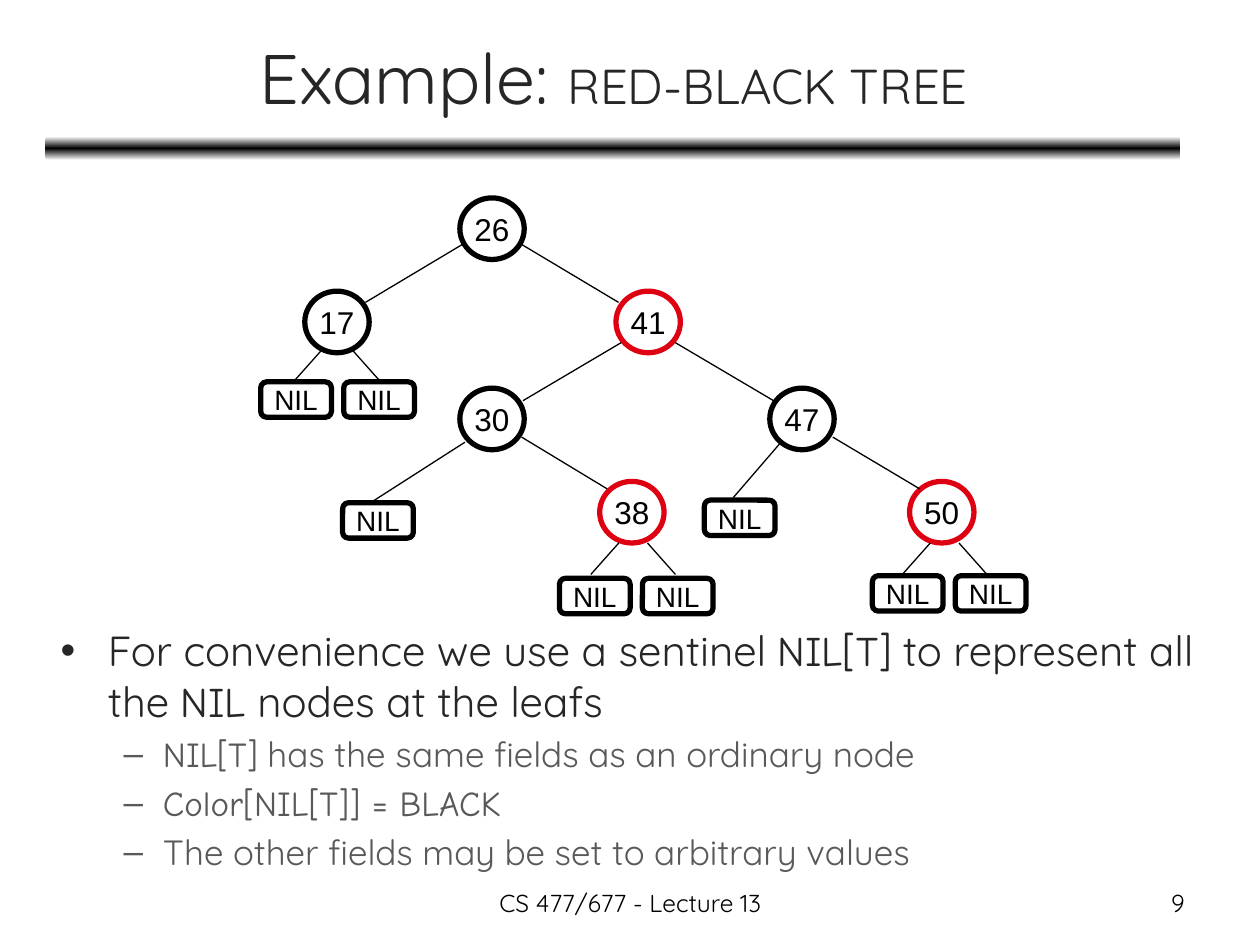
import pptx
import pptx.util
import pptx.dml.color
import pptx.enum.shapes
import pptx.enum.text
import pptx.oxml
import pptx.oxml.ns
import lxml.etree

Pt = pptx.util.Pt
hue = pptx.dml.color.RGBColor.from_string
kinds = pptx.enum.shapes.MSO_SHAPE
sides = pptx.enum.text.PP_ALIGN
middle = pptx.enum.text.MSO_ANCHOR.MIDDLE
fixed = pptx.enum.text.MSO_AUTO_SIZE.NONE
qn = pptx.oxml.ns.qn


def write(line, text, size=18, font="Arial", color="000000", align=None):
    run = line.add_run()
    run.text = text
    run.font.size = Pt(size)
    run.font.name = font
    run.font.color.rgb = hue(color)
    if align is not None:
        line.alignment = align


def node(kind, left, top, width, height, text, size, color="000000"):
    shape = slide.shapes.add_shape(kind, Pt(left), Pt(top), Pt(width), Pt(height))
    shape.shadow.inherit = False
    shape.fill.background()
    shape.line.color.rgb = hue(color)
    shape.line.width = Pt(3)
    frame = shape.text_frame
    frame.word_wrap = False
    frame.vertical_anchor = middle
    write(frame.paragraphs[0], text, size=size, align=sides.CENTER)


deck = pptx.Presentation()
deck.slide_width, deck.slide_height = Pt(720), Pt(540)
slide = deck.slides.add_slide(deck.slide_layouts[1])
title, body = slide.placeholders

title.left, title.top, title.width, title.height = Pt(26.6), Pt(8), Pt(648), Pt(71)
title.text_frame.auto_size = fixed
title.text_frame.vertical_anchor = middle
head = title.text_frame.paragraphs[0]
write(head, "Example: ", size=40, font="Quicksand", color="262626", align=sides.CENTER)
write(head, "RED-BLACK TREE", size=28, font="Quicksand", color="262626")

body.left, body.top, body.width, body.height = Pt(27.4), Pt(353.5), Pt(672.5), Pt(170)
body.text_frame.auto_size = fixed
points = [
    (0, [("For convenience we use a sentinel ", "Quicksand"), ("NIL[T]", "Comic Neue"),
         (" to represent all the ", "Quicksand"), ("NIL", "Comic Neue"),
         (" nodes at the leafs", "Quicksand")]),
    (1, [("NIL[T]", "Comic Neue"), (" has the same fields as an ordinary node", "Quicksand")]),
    (1, [("Color[NIL[T]] = BLACK", "Comic Neue")]),
    (1, [("The other fields may be set to arbitrary values", "Quicksand")]),
]
for index, (level, parts) in enumerate(points):
    line = body.text_frame.add_paragraph() if index else body.text_frame.paragraphs[0]
    line.level = level
    for text, font in parts:
        write(line, text, size=(24, 20)[level], font=font, color=("262626", "595959")[level])

bar = slide.shapes.add_shape(kinds.ROUNDED_RECTANGLE, Pt(26), Pt(78), Pt(648.6), Pt(13.5))
bar.shadow.inherit = False
bar.line.fill.background()
bar.fill.gradient()
bar.fill.gradient_angle = 270
stops = bar.fill.gradient_stops
for stop, color, place in zip(stops, ("FFFFFF", "000000"), (0, 0.5)):
    stop.color.rgb = hue(color)
    stop.position = place
ramp = bar.fill._fill._gradFill.find(qn("a:gsLst"))
last = lxml.etree.SubElement(ramp, qn("a:gs"), pos="100000")
lxml.etree.SubElement(last, qn("a:srgbClr"), val="FFFFFF")

keys = [
    ("26", 281.2, 130.7, "000000"),
    ("17", 192.6, 184, "000000"),
    ("41", 370.4, 184, "DD0111"),
    ("30", 281.2, 239.4, "000000"),
    ("47", 458.3, 239.4, "000000"),
    ("38", 361.1, 292.7, "DD0111"),
    ("50", 538.2, 292.7, "DD0111"),
]
for text, x, y, color in keys:
    node(kinds.OVAL, x - 18.4, y - 17.6, 36.8, 35.2, text, 18, color)

edges = [
    (264.2, 139.7, 208.8, 172.8), (298.1, 139.7, 353.5, 172.8),
    (355, 195.8, 298.8, 229), (385.9, 195.8, 442.1, 229),
    (298.1, 249.8, 347, 279.4), (475.9, 249.8, 525.6, 279.4),
    (265.7, 252.7, 211.7, 287.3), (445.7, 253.4, 419, 284.4),
]
leaves = [(195.8, 287.3), (402.5, 285.8)]
pairs = [(192.6, 199.4, 192.9, 218.2), (361.8, 310.3, 363.6, 330.5), (539.8, 310.3, 542.4, 329)]
for fork, top, mid, base in pairs:
    for sign in (-1, 1):
        edges.append((fork + sign * 8.2, top, fork + sign * 24.2, top + 18))
        leaves.append((mid + sign * 23.7 - 20.2, base))

for ends in edges:
    edge = slide.shapes.add_connector(
        pptx.enum.shapes.MSO_CONNECTOR.STRAIGHT, *[Pt(end) for end in ends])
    edge.line.color.rgb = hue("000000")
    edge.line.width = Pt(0.75)
    lxml.etree.SubElement(edge._element.spPr, qn("a:effectLst"))
for left, top in leaves:
    node(kinds.ROUNDED_RECTANGLE, left, top, 40.4, 20.2, "NIL", 16)

for text, left, width, align in [
    ("CS 477/677 - Lecture 13", 246.2, 228.2, sides.CENTER),
    ("9", 516.2, 167.8, sides.RIGHT),
]:
    box = slide.shapes.add_textbox(Pt(left), Pt(504), Pt(width), Pt(25.2))
    box.text_frame.word_wrap = True
    write(box.text_frame.paragraphs[0], text, size=14, font="Quicksand", align=align)

deck.save("out.pptx")
